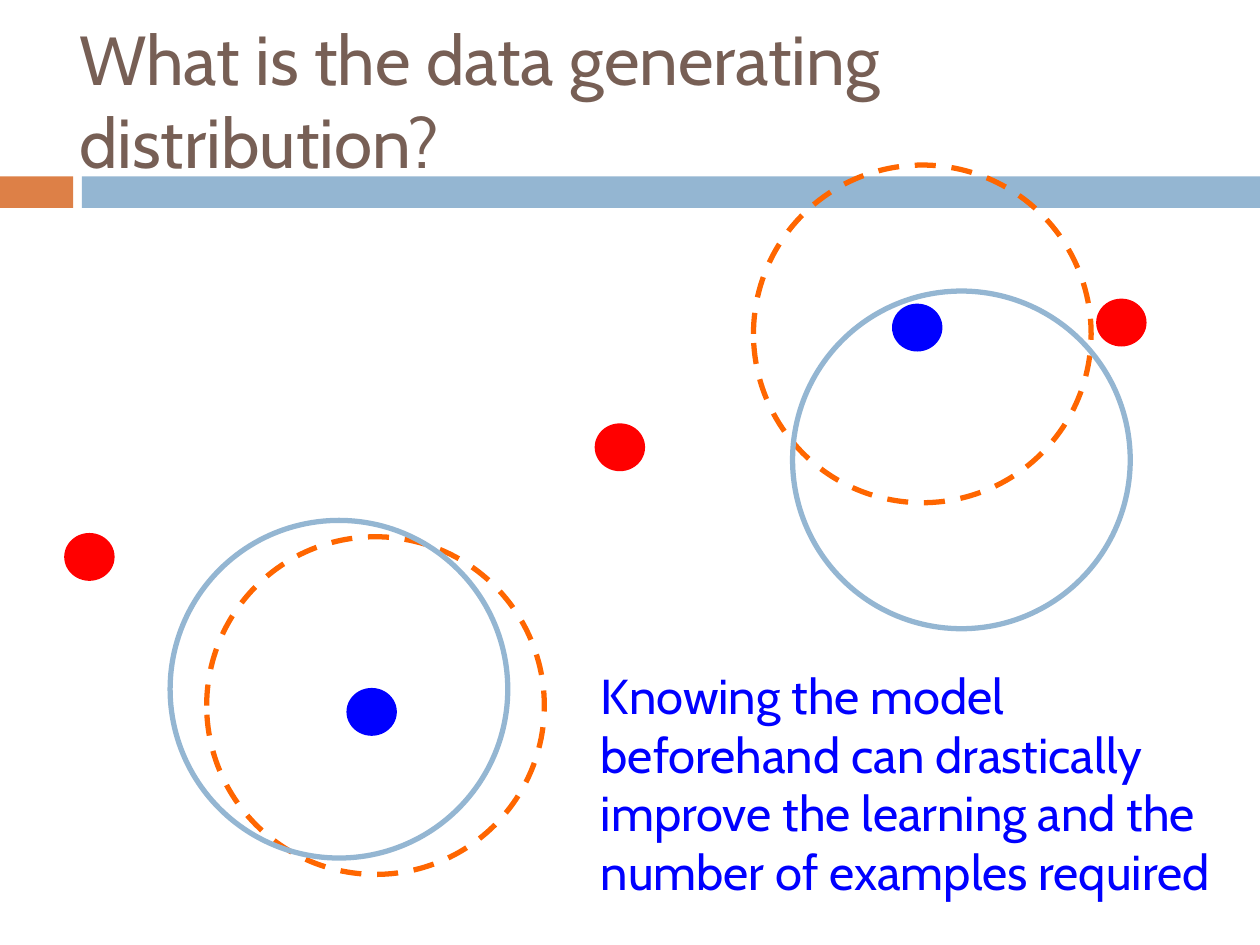
from dataclasses import dataclass

from pptx import Presentation
from pptx.dml.color import RGBColor
from pptx.enum.dml import MSO_LINE
from pptx.enum.shapes import MSO_SHAPE
from pptx.enum.text import MSO_ANCHOR
from pptx.util import Inches, Pt

RECTANGLE, OVAL = MSO_SHAPE.RECTANGLE, MSO_SHAPE.OVAL
TOP, MIDDLE = MSO_ANCHOR.TOP, MSO_ANCHOR.MIDDLE
DASH = MSO_LINE.DASH


@dataclass(frozen=True)
class Theme:
    """Colours, type sizes and grid unit of the slide."""
    font: str = "Cabin"
    title_size: float = 39.6
    body_size: float = 28
    title: str = "775F55"
    accent: str = "DD8047"
    band: str = "94B6D2"
    blue: str = "0000FF"
    red: str = "FF0000"
    orange: str = "FF6600"
    outline: float = 3
    cell: float = 0.1


class SlideBuilder:
    """Draws elements on a slide, measured in columns and rows of a grid."""

    def __init__(self, slide, theme):
        """Keep the slide and its style."""
        self.slide = slide
        self.theme = theme

    def box(self, *cells):
        """Turn grid cells into lengths."""
        return [Inches(count * self.theme.cell) for count in cells]

    def filled(self, kind, color, left, top, width, height):
        """Draw a solid shape without an outline."""
        shape = self.slide.shapes.add_shape(kind, *self.box(left, top, width, height))
        shape.shadow.inherit = False
        shape.fill.solid()
        shape.fill.fore_color.rgb = RGBColor.from_string(color)
        shape.line.fill.background()

    def point(self, color, left, top):
        """Draw one data point."""
        self.filled(OVAL, color, left, top, 4, 3.8)

    def ring(self, color, left, top, dash=None):
        """Draw the outline of one distribution."""
        shape = self.slide.shapes.add_shape(OVAL, *self.box(left, top, 26.8, 26.8))
        shape.shadow.inherit = False
        shape.fill.background()
        shape.line.color.rgb = RGBColor.from_string(color)
        shape.line.width = Pt(self.theme.outline)
        if dash is not None:
            shape.line.dash_style = dash

    def text(self, words, size, color, left, top, width, height, anchor=TOP):
        """Write one wrapped paragraph."""
        frame = self.slide.shapes.add_textbox(*self.box(left, top, width, height)).text_frame
        frame.word_wrap = True
        frame.vertical_anchor = anchor
        frame.text = words
        font = frame.paragraphs[0].runs[0].font
        font.name = self.theme.font
        font.size = Pt(size)
        font.color.rgb = RGBColor.from_string(color)


def main():
    """Build and save the slide."""
    theme = Theme()
    presentation = Presentation()
    presentation.slide_width, presentation.slide_height = Inches(10), Inches(7.5)
    slide = presentation.slides.add_slide(presentation.slide_layouts[6])
    builder = SlideBuilder(slide, theme)

    builder.filled(RECTANGLE, theme.accent, 0, 14, 5.8, 2.5)
    builder.filled(RECTANGLE, theme.band, 6.5, 14, 93.5, 2.5)

    for left, top in ((27.5, 54.6), (70.8, 24.1)):
        builder.point(theme.blue, left, top)
    for left, top in ((5.1, 42.3), (47.2, 33.6), (87, 23.7)):
        builder.point(theme.red, left, top)

    builder.text("What is the data generating distribution?",
                 theme.title_size, theme.title, 5.3, 2.5, 93.3, 10.8, MIDDLE)

    for left, top in ((59.8, 13.1), (16.4, 42.6)):
        builder.ring(theme.orange, left, top, DASH)
    for left, top in ((13.5, 41.3), (62.9, 23.1)):
        builder.ring(theme.band, left, top)

    builder.text("Knowing the model beforehand can drastically improve the learning "
                 "and the number of examples required",
                 theme.body_size, theme.blue, 46.7, 52.3, 51.9, 19.9)

    presentation.save("out.pptx")


if __name__ == "__main__":
    main()
